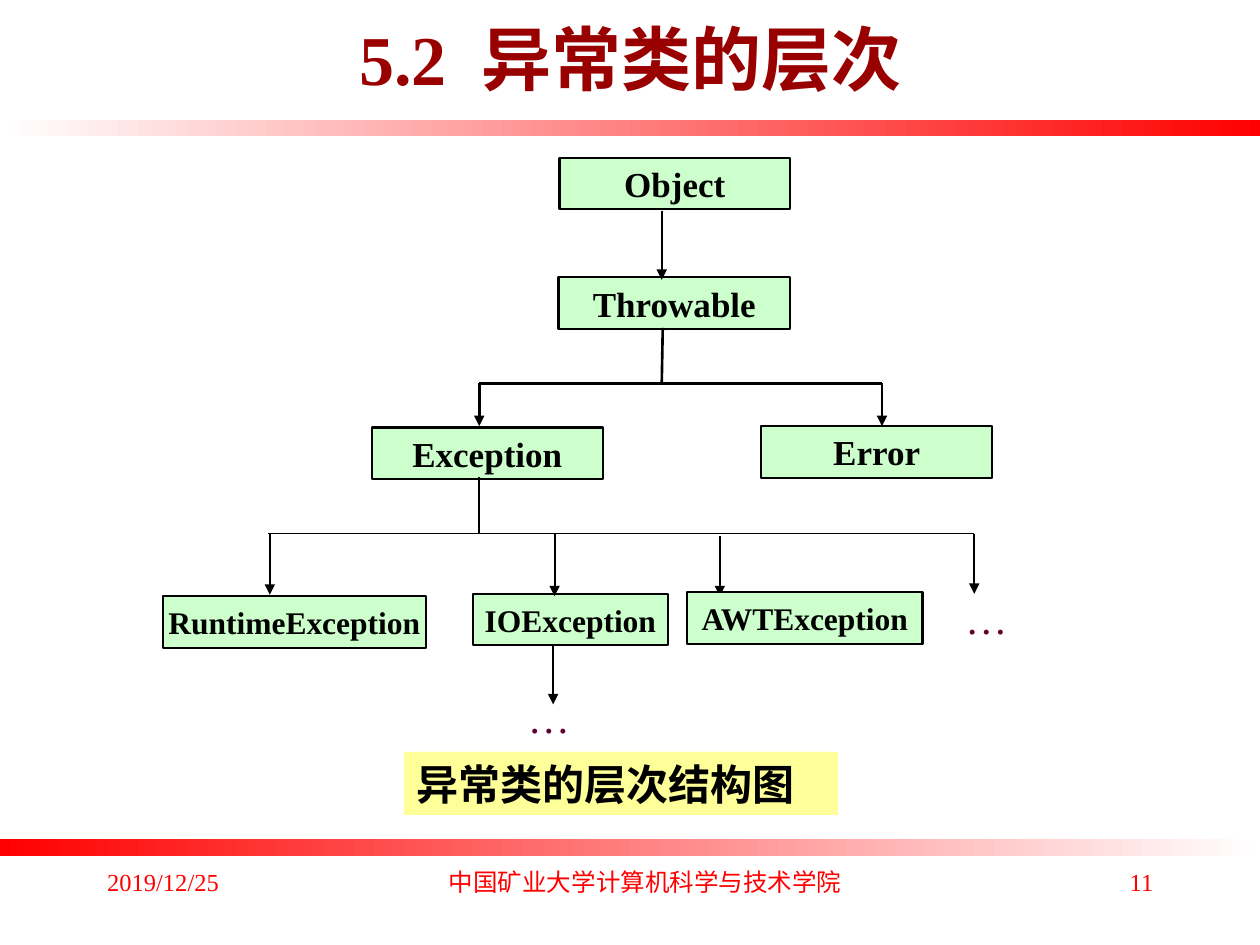
from collections import namedtuple

from lxml import etree
from pptx import Presentation
from pptx.dml.color import RGBColor
from pptx.enum.shapes import MSO_CONNECTOR, MSO_SHAPE
from pptx.enum.text import MSO_ANCHOR, MSO_AUTO_SIZE, PP_ALIGN
from pptx.oxml.ns import qn
from pptx.util import Cm, Pt

LEFT, CENTER, RIGHT = PP_ALIGN.LEFT, PP_ALIGN.CENTER, PP_ALIGN.RIGHT
MIDDLE, TOP = MSO_ANCHOR.MIDDLE, MSO_ANCHOR.TOP
NO_AUTOFIT = MSO_AUTO_SIZE.NONE
RECTANGLE, STRAIGHT = MSO_SHAPE.RECTANGLE, MSO_CONNECTOR.STRAIGHT

BLACK = RGBColor(0x00, 0x00, 0x00)
WHITE = RGBColor(0xFF, 0xFF, 0xFF)
RED = RGBColor(0xFF, 0x00, 0x00)
DARK_RED = RGBColor(0x99, 0x00, 0x00)
PLUM = RGBColor(0x66, 0x00, 0x33)
GREEN = RGBColor(0xCC, 0xFF, 0xCC)
YELLOW = RGBColor(0xFF, 0xFF, 0x99)

LATIN_FONT = "Times New Roman"
CHINESE_FONT = "Noto Sans CJK SC"

# All box measures are in centimetres.
Box = namedtuple("Box", "left top width height")

NODE_HEIGHT = 1.04
UPPER_NODES = [  # name, left, top, width, text size
    ("Object", 8, 0, 4.65, 20),
    ("Throwable", 7.98, 2.41, 4.67, 20),
    ("Error", 12.07, 5.41, 4.65, 20),
    ("Exception", 4.22, 5.44, 4.65, 20),
    ("IOException", 6.25, 8.79, 3.94, 18),
    ("RuntimeException", 0, 8.84, 5.31, 18),
]
FRONT_NODES = [("AWTException", 10.57, 8.76, 4.75, 18)]  # covers its arrow tip
BRANCHES = [  # start x, start y, end x, end y, line width
    (10.08, 3.43, 10.06, 4.55, 1.5),
    (6.38, 4.55, 14.5, 4.55, 1.5),
    (6.38, 6.43, 6.38, 7.57, 1.25),
    (2.13, 7.57, 16.36, 7.57, 0.75),
]
ARROWS = [  # x, start y, end y, line width
    (10.06, 1.07, 2.46, 1.25),
    (6.38, 4.55, 5.41, 1.5),
    (14.5, 4.55, 5.41, 1.25),
    (2.16, 7.59, 8.81, 1.25),
    (7.9, 7.59, 8.84, 1.25),
    (11.23, 7.62, 8.84, 1.25),
    (16.36, 7.59, 8.79, 1.25),
    (7.87, 9.83, 11.02, 1.25),
]
ELLIPSES = [(7.11, 10.64), (15.93, 8.64)]


def lengths(box):
    return [Cm(value) for value in box]


def inside(outer, left, top, width, height):
    return Box(outer.left + left, outer.top + top, width, height)


def format_text(frame, size, color, bold=False, align=LEFT, anchor=TOP, wrap=True):
    frame.word_wrap = wrap
    frame.vertical_anchor = anchor
    for para in frame.paragraphs:
        para.alignment = align
        for span in para.runs:
            font = span.font
            font.name = LATIN_FONT
            font.size = Pt(size)
            font.bold = bold
            font.color.rgb = color
            east_asian = etree.Element(qn("a:ea"), typeface=CHINESE_FONT)
            font._element.find(qn("a:latin")).addnext(east_asian)


def add_text(page, box, text, size, color, **style):
    label = page.shapes.add_textbox(*lengths(box))
    label.text_frame.text = text
    format_text(label.text_frame, size, color, **style)
    return label


def add_gradient_bar(page, box, start_color, end_color):
    bar = page.shapes.add_shape(RECTANGLE, *lengths(box))
    bar.shadow.inherit = False
    bar.line.fill.background()
    bar.fill.gradient()
    bar.fill.gradient_angle = 0
    for stop, color in zip(bar.fill.gradient_stops, (start_color, end_color)):
        stop.color.rgb = color


def add_title(page, box):
    title = page.shapes.title
    title.left, title.top, title.width, title.height = lengths(box)
    frame = title.text_frame
    frame.auto_size = NO_AUTOFIT
    para = frame.paragraphs[0]
    for part in ("5.2", " ", "异常类的层次"):
        para.add_run().text = part
    format_text(frame, 40, DARK_RED, bold=True, align=CENTER, anchor=MIDDLE)
    para.runs[1].font._element.set("spc", "1000")  # widens the gap after the number


def add_node(page, box, name, size):
    node = page.shapes.add_shape(RECTANGLE, *lengths(box))
    node.shadow.inherit = False
    node.fill.solid()
    node.fill.fore_color.rgb = GREEN
    node.line.color.rgb = BLACK
    node.line.width = Pt(1.25)
    node.text_frame.text = name
    format_text(node.text_frame, size, BLACK, bold=True, align=CENTER,
                anchor=MIDDLE, wrap=False)


def add_line(page, points, width, arrow=False):
    line = page.shapes.add_connector(STRAIGHT, *lengths(points))
    line.line.color.rgb = BLACK
    line.line.width = Pt(width)
    if arrow:
        etree.SubElement(line.line._get_or_add_ln(), qn("a:tailEnd"), type="triangle")
    etree.SubElement(line._element.spPr, qn("a:effectLst"))


def add_class_tree(page, box):
    def add_nodes(nodes):
        for name, left, top, width, size in nodes:
            add_node(page, inside(box, left, top, width, NODE_HEIGHT), name, size)

    def connect(start_x, start_y, end_x, end_y, width, arrow=False):
        points = (box.left + start_x, box.top + start_y,
                  box.left + end_x, box.top + end_y)
        add_line(page, points, width, arrow)

    add_nodes(UPPER_NODES)
    for branch in BRANCHES:
        connect(*branch)
    for x, start_y, end_y, width in ARROWS:
        connect(x, start_y, x, end_y, width, arrow=True)
    add_nodes(FRONT_NODES)
    for left, top in ELLIPSES:
        add_text(page, inside(box, left, top, 1.35, 1.27), "…", 24, PLUM, wrap=False)


def add_caption(page, box):
    caption = add_text(page, box, "异常类的层次结构图", 24, BLACK, bold=True)
    caption.fill.solid()
    caption.fill.fore_color.rgb = YELLOW


def add_footer(page, box):
    side_width, middle_width = 5.28, 8.64
    parts = [
        ("2019/12/25", 0, side_width, LEFT),
        ("中国矿业大学计算机科学与技术学院", 6.78, middle_width, CENTER),
        ("11", box.width - side_width, side_width, RIGHT),
    ]
    for text, left, width, align in parts:
        add_text(page, inside(box, left, 0, width, box.height), text, 14, RED, align=align)


def main():
    deck = Presentation()
    deck.slide_width, deck.slide_height = Cm(25.4), Cm(19.05)
    page = deck.slides.add_slide(deck.slide_layouts[5])
    add_gradient_bar(page, Box(0, 2.41, 25.4, 0.33), WHITE, RED)
    add_gradient_bar(page, Box(0, 16.92, 25.4, 0.33), RED, WHITE)
    add_title(page, Box(1.91, -0.43, 21.59, 3.18))
    add_footer(page, Box(1.91, 17.35, 21.59, 1.27))
    add_class_tree(page, Box(3.28, 3.18, 17.28, 11.91))
    add_caption(page, Box(8.15, 15.16, 8.74, 1.27))
    deck.save("out.pptx")


if __name__ == "__main__":
    main()
